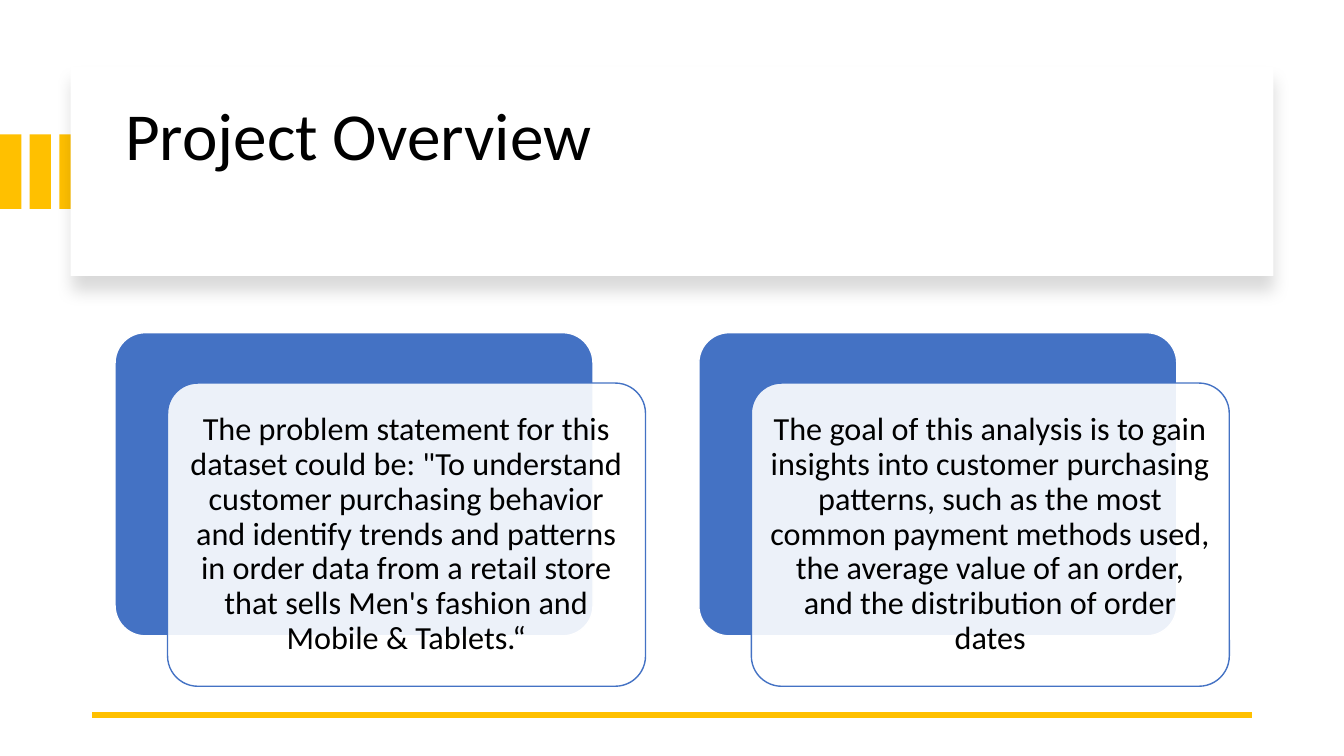
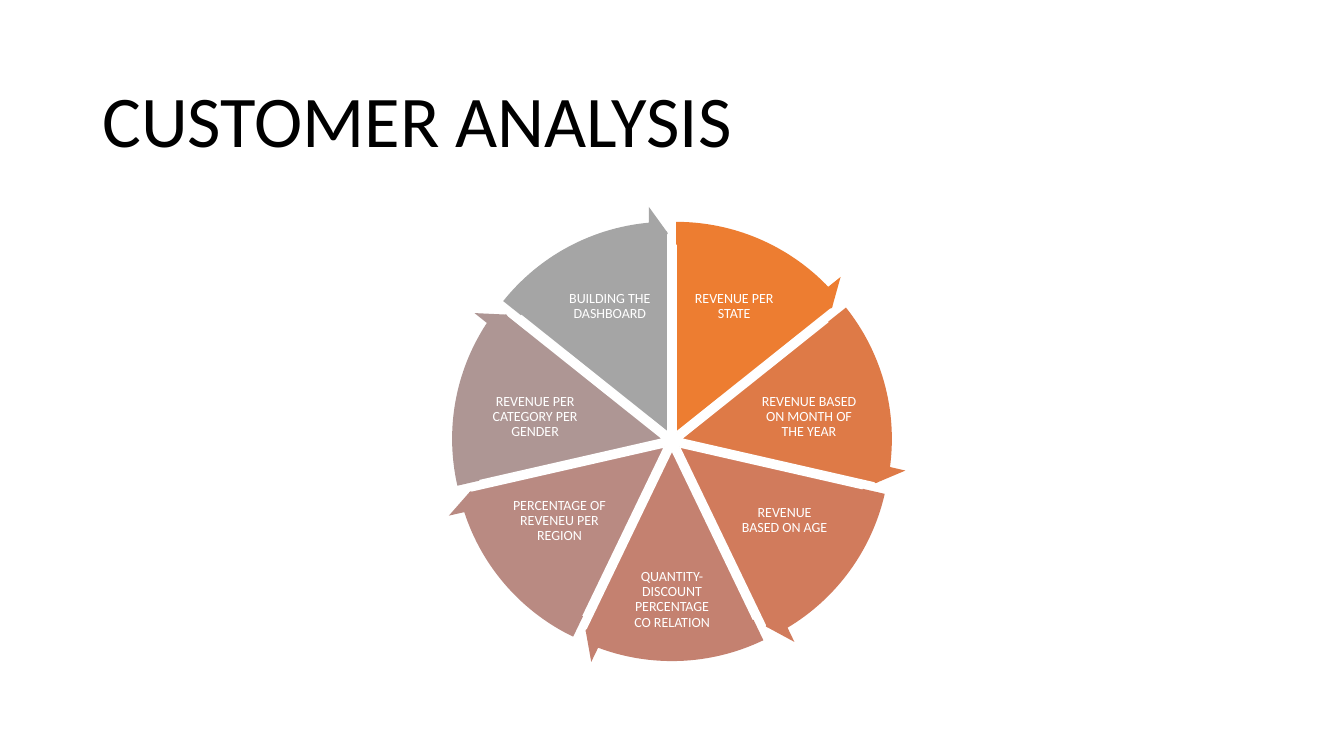
from dataclasses import dataclass
from math import cos, radians, sin

from lxml.etree import SubElement
from pptx import Presentation
from pptx.dml.color import RGBColor
from pptx.enum.shapes import MSO_CONNECTOR, MSO_SHAPE
from pptx.enum.text import MSO_ANCHOR, MSO_AUTO_SIZE, PP_ALIGN
from pptx.oxml.ns import qn
from pptx.util import Inches, Pt


@dataclass(frozen=True)
class Theme:
    font: str = "Calibri"
    black: str = "000000"
    white: str = "FFFFFF"
    gold: str = "FFC000"
    blue: str = "4472C4"
    wedges: tuple = ("ED7D31", "DE7A47", "D17B5C", "C48170", "B98A82", "AE9694", "A5A5A5")
    overview_title: int = 48
    analysis_title: int = 52
    card_text: int = 23
    wedge_text: int = 10
    line_spacing: float = 0.9


theme = Theme()
presentation = Presentation()
presentation.slide_width = Inches(13.333)
presentation.slide_height = Inches(7.5)
column = presentation.slide_width / 160
row = presentation.slide_height / 90
title_layout = presentation.slide_layouts[5]


def add_block(slide, kind, left, top, width, height, fill, line=None):
    shape = slide.shapes.add_shape(
        kind, int(left * column), int(top * row), int(width * column), int(height * row)
    )
    shape.fill.solid()
    shape.fill.fore_color.rgb = RGBColor.from_string(fill)
    if line:
        shape.line.color.rgb = RGBColor.from_string(line)
        shape.line.width = Pt(1)
    else:
        shape.line.fill.background()
    shape.shadow.inherit = False
    return shape


def write_text(shape, text, size, color, alignment, margin=None):
    frame = shape.text_frame
    frame.word_wrap = True
    frame.auto_size = MSO_AUTO_SIZE.NONE
    frame.vertical_anchor = MSO_ANCHOR.MIDDLE
    if margin is not None:
        frame.margin_left = frame.margin_right = margin
        frame.margin_top = frame.margin_bottom = margin
    frame.text = text
    paragraph = frame.paragraphs[0]
    paragraph.alignment = alignment
    paragraph.line_spacing = theme.line_spacing
    paragraph.font.name = theme.font
    paragraph.font.size = Pt(size)
    paragraph.font.color.rgb = RGBColor.from_string(color)


titles = [
    ("Project Overview", theme.overview_title, (13.7, 10.7, 133.6, 20.4)),
    ("CUSTOMER ANALYSIS", theme.analysis_title, (11, 7.3, 138, 14.9)),
]
slides = []
for text, size, (left, top, width, height) in titles:
    slide = presentation.slides.add_slide(title_layout)
    title = slide.shapes.title
    title.left, title.top = int(left * column), int(top * row)
    title.width, title.height = int(width * column), int(height * row)
    write_text(title, text, size, theme.black, PP_ALIGN.LEFT)
    slides.append(slide)
overview, analysis = slides

for index in range(3):
    add_block(overview, MSO_SHAPE.RECTANGLE, index * 3.53, 16, 2.55, 8.86, theme.gold)
banner = add_block(overview, MSO_SHAPE.RECTANGLE, 8.4, 8, 143.2, 24.85, theme.white)
effects = banner.element.spPr.find(qn("a:effectLst"))
shadow = SubElement(
    effects, qn("a:outerShdw"), blurRad=str(Pt(11)), dist=str(Pt(10)), dir="5400000", rotWithShape="0"
)
shadow_color = SubElement(shadow, qn("a:srgbClr"), val=theme.black)
SubElement(shadow_color, qn("a:alpha"), val="15000")
banner.element.addnext(overview.shapes.title.element)
overview.shapes.title.text_frame.margin_bottom = Inches(0.78)

rule = overview.shapes.add_connector(
    MSO_CONNECTOR.STRAIGHT, int(149 * column), int(85.1 * row), int(11 * column), int(85.1 * row)
)
rule.line.color.rgb = RGBColor.from_string(theme.gold)
rule.line.width = Pt(4.5)
SubElement(rule.element.spPr, qn("a:effectLst"))

statements = [
    "The problem statement for this dataset could be: \"To understand customer purchasing behavior "
    "and identify trends and patterns in order data from a retail store that sells Men's fashion "
    "and Mobile & Tablets.“",
    "The goal of this analysis is to gain insights into customer purchasing patterns, such as the "
    "most common payment methods used, the average value of an order, and the distribution of "
    "order dates",
]
card_width, card_height = 56.9, 36.1
for index, statement in enumerate(statements):
    left, top = 13.7 + index * 69.5, 39.6
    back = add_block(
        overview, MSO_SHAPE.ROUNDED_RECTANGLE, left, top, card_width, card_height, theme.blue, theme.white
    )
    front = add_block(
        overview, MSO_SHAPE.ROUNDED_RECTANGLE, left + 6.25, top + 6, card_width, card_height,
        theme.white, theme.blue,
    )
    for card in (back, front):
        card.adjustments[0] = 0.1
    front_color = front.element.spPr.find(qn("a:solidFill")).find(qn("a:srgbClr"))
    SubElement(front_color, qn("a:alpha"), val="90000")
    write_text(front, statement, theme.card_text, theme.black, PP_ALIGN.CENTER, Inches(0.1))

labels = [
    "REVENUE PER STATE",
    "REVENUE BASED ON MONTH OF THE YEAR",
    "REVENUE BASED ON AGE",
    "QUANTITY-DISCOUNT PERCENTAGE CO RELATION",
    "PERCENTAGE OF REVENEU PER REGION",
    "REVENUE PER CATEGORY PER GENDER",
    "BUILDING THE DASHBOARD",
]
right_boxes = [(7.4, 36.5, 11.4, 9.1), (16.3, 49.6, 13.1, 8), (13.4, 62, 11.4, 8.9)]
left_boxes = [(-offset, *rest) for offset, *rest in reversed(right_boxes)]
label_boxes = right_boxes + [(0, 71.4, 11.2, 8)] + left_boxes

center_x, center_y = 80, 52.5
pie_radius, arrow_radius, spread = 24, 26.95, 1.14
sweep = 360 / len(labels)
degree = 0.6
wedges = []
for index, color in enumerate(theme.wedges):
    start = 270 + index * sweep
    middle = radians(start + sweep / 2)
    wedges.append((color, start, center_x + spread * cos(middle), center_y + spread * sin(middle)))

for (color, start, x, y), label, (offset, label_y, width, height) in zip(wedges, labels, label_boxes):
    pie = add_block(
        analysis, MSO_SHAPE.PIE, x - pie_radius, y - pie_radius, 2 * pie_radius, 2 * pie_radius,
        color, theme.white,
    )
    pie.adjustments[0] = start % 360 * degree
    pie.adjustments[1] = (start + sweep) % 360 * degree
    caption = analysis.shapes.add_textbox(
        int((center_x + offset - width / 2) * column), int((label_y - height / 2) * row),
        int(width * column), int(height * row),
    )
    write_text(caption, label, theme.wedge_text, theme.white, PP_ALIGN.CENTER, Inches(0.01))

for color, start, x, y in wedges:
    arrow = add_block(
        analysis, MSO_SHAPE.CIRCULAR_ARROW, x - arrow_radius, y - arrow_radius,
        2 * arrow_radius, 2 * arrow_radius, color,
    )
    head = 5.46
    tip = (start + sweep - head) % 360
    for position, value in enumerate((0.05, head * degree, tip * degree, start % 360 * degree, 0.06)):
        arrow.adjustments[position] = value

presentation.save("out.pptx")
